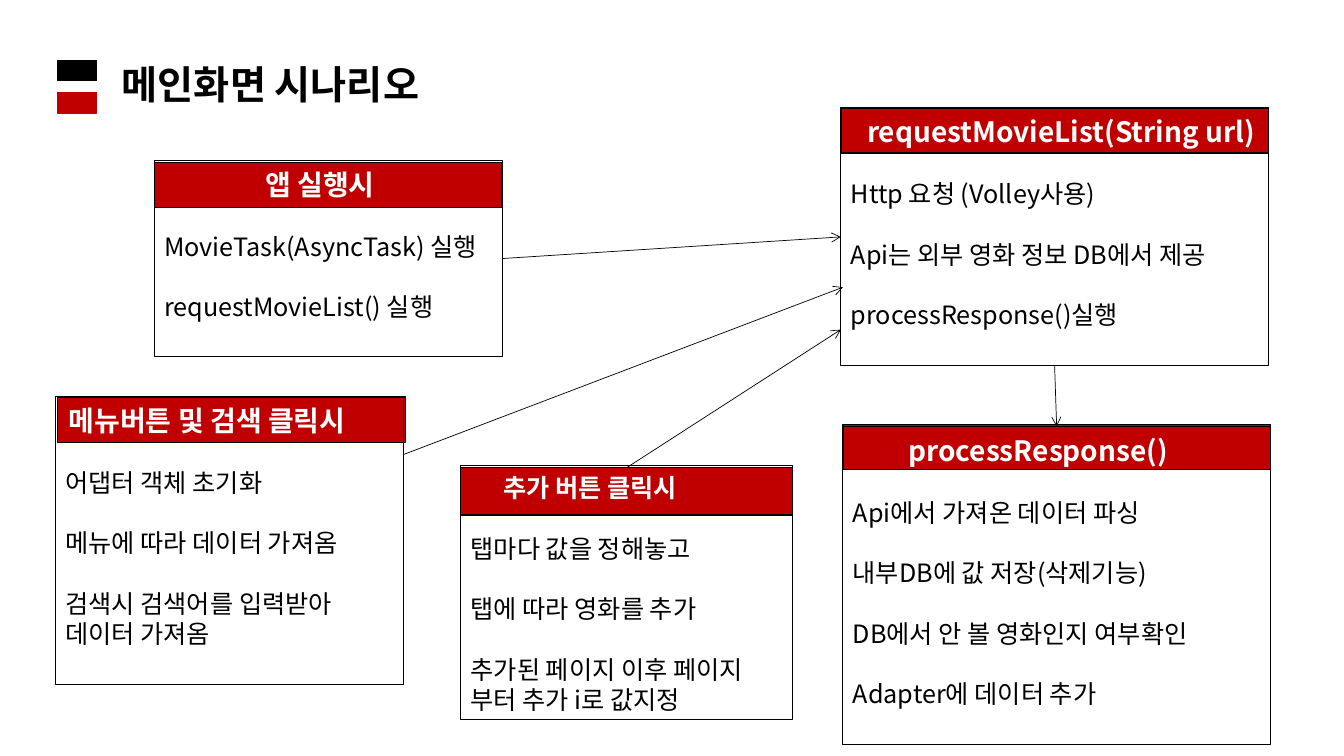
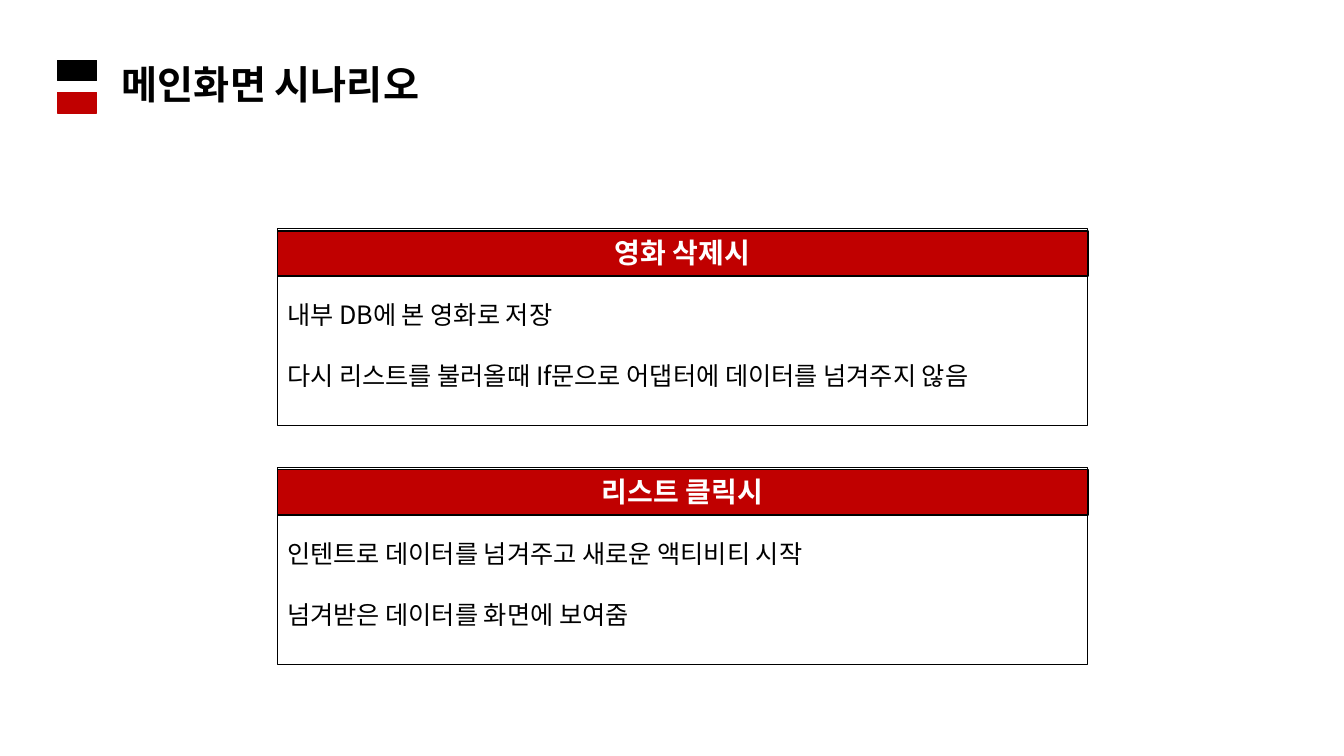
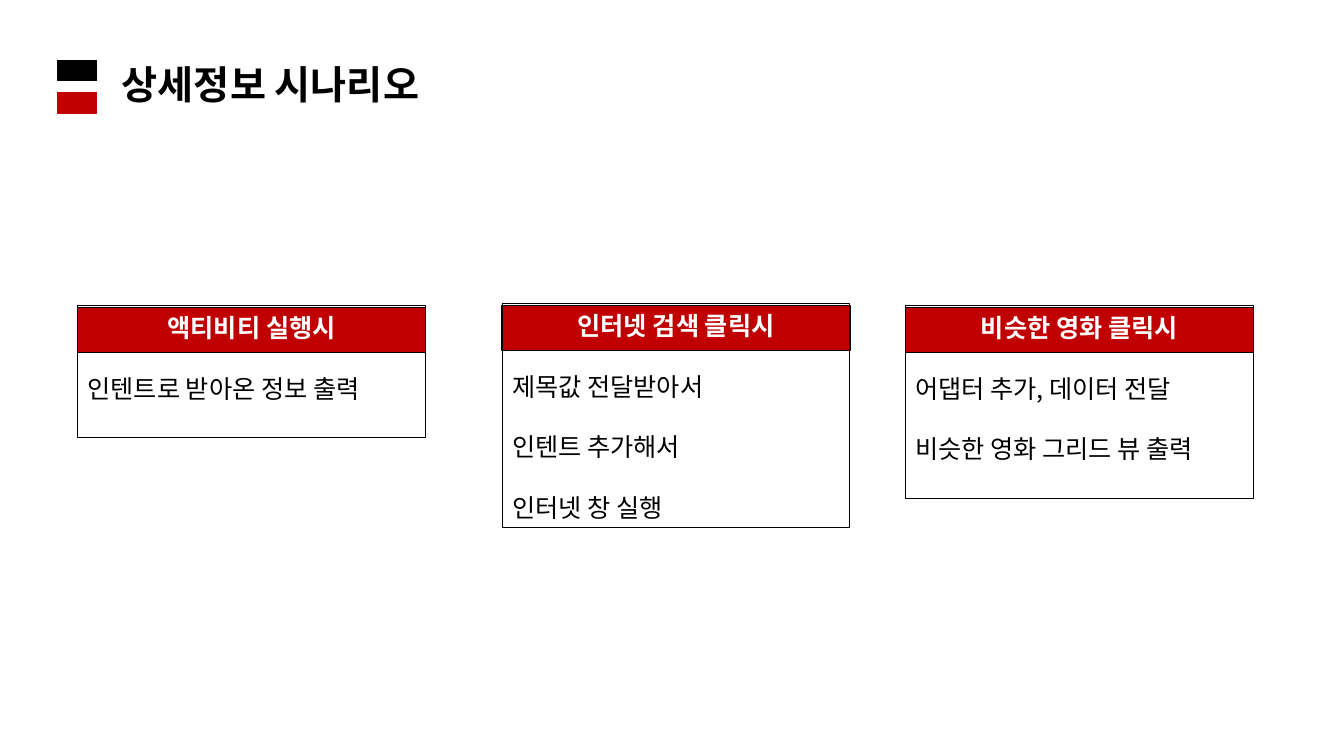
"""Build three slides of app scenarios shown as titled cards joined by arrows."""
from dataclasses import dataclass

from pptx import Presentation
from pptx.dml.color import RGBColor
from pptx.enum.shapes import MSO_CONNECTOR, MSO_SHAPE
from pptx.enum.text import MSO_ANCHOR, MSO_AUTO_SIZE, PP_ALIGN
from pptx.oxml.ns import qn
from pptx.util import Inches, Pt
from lxml.etree import SubElement

FONT = "Noto Sans CJK KR"
COLORS = {"red": "C00000", "black": "000000", "white": "FFFFFF"}
BODY_SIZE = 18
TITLE_SIZE = 28
LINE_RATIO = 1.2
BASELINE_SHIFT = 0.02
TOP, LEFT, BOTTOM, RIGHT = range(4)
TITLE_BOX = (1.11, 0.55, 8, 0.57)
MARKS = [("black", 0.6), ("red", 0.92)]


@dataclass
class Card:
    """A bordered box with a red heading bar; entries hold one or more lines."""
    heading: str
    frame: tuple
    entries: list
    heading_size: int = 20
    heading_indent: float = None
    bar_shift: tuple = (0, 0.02)
    bar_height: float = 0.45


SLIDES = [
    {
        "title": "메인화면 시나리오",
        "cards": {
            "launch": Card("앱 실행시", (1.53, 1.59, 3.45, 1.95), [
                ["MovieTask(AsyncTask) 실행"],
                ["requestMovieList() 실행"],
            ], heading_indent=1.1),
            "request": Card("requestMovieList(String url)", (8.34, 1.07, 4.24, 2.56), [
                ["Http 요청 (Volley사용)"],
                ["Api는 외부 영화 정보 DB에서 제공"],
                ["processResponse()실행"],
            ], heading_indent=0.26, bar_shift=(0, 0)),
            "response": Card("processResponse()", (8.36, 4.23, 4.24, 3.16), [
                ["Api에서 가져온 데이터 파싱"],
                ["내부DB에 값 저장(삭제기능)"],
                ["DB에서 안 볼 영화인지 여부확인"],
                ["Adapter에 데이터 추가"],
            ], heading_indent=0.65, bar_shift=(0, -0.02)),
            "menu": Card("메뉴버튼 및 검색 클릭시", (0.55, 3.93, 3.45, 2.86), [
                ["어댑터 객체 초기화"],
                ["메뉴에 따라 데이터 가져옴"],
                ["검색시 검색어를 입력받아", "데이터 가져옴"],
            ], heading_indent=0.13, bar_shift=(0.02, 0.01)),
            "more": Card("추가 버튼 클릭시", (4.57, 4.62, 3.29, 2.52), [
                ["탭마다 값을 정해놓고"],
                ["탭에 따라 영화를 추가"],
                ["추가된 페이지 이후 페이지", "부터 추가 i로 값지정"],
            ], heading_size=18, heading_indent=0.42, bar_height=0.47),
        },
        "arrows": [
            {"from": (4.98, 2.57), "to": (8.34, 2.35),
             "begin": ("launch", "frame", RIGHT), "end": ("request", "frame", LEFT)},
            {"from": (10.46, 3.63), "to": (10.48, 4.23),
             "begin": ("request", "frame", BOTTOM), "end": ("response", "frame", TOP)},
            {"from": (4, 4.51), "to": (8.36, 2.85)},
            {"from": (6.21, 4.64), "to": (8.34, 3.27), "begin": ("more", "bar", TOP)},
        ],
    },
    {
        "title": "메인화면 시나리오",
        "cards": {
            "delete": Card("영화 삭제시", (2.75, 2.27, 8.04, 1.95), [
                ["내부 DB에 본 영화로 저장"],
                ["다시 리스트를 불러올때 If문으로 어댑터에 데이터를 넘겨주지 않음"],
            ]),
            "list": Card("리스트 클릭시", (2.75, 4.64, 8.04, 1.95), [
                ["인텐트로 데이터를 넘겨주고 새로운 액티비티 시작"],
                ["넘겨받은 데이터를 화면에 보여줌"],
            ]),
        },
    },
    {
        "title": "상세정보 시나리오",
        "cards": {
            "activity": Card("액티비티 실행시", (0.77, 3.03, 3.45, 1.31), [
                ["인텐트로 받아온 정보 출력"],
            ], heading_size=18),
            "search": Card("인터넷 검색 클릭시", (4.98, 3.01, 3.45, 2.22), [
                ["제목값 전달받아서"],
                ["인텐트 추가해서"],
                ["인터넷 창 실행"],
            ], heading_size=18),
            "similar": Card("비슷한 영화 클릭시", (8.98, 3.03, 3.45, 1.92), [
                ["어댑터 추가, 데이터 전달"],
                ["비슷한 영화 그리드 뷰 출력"],
            ], heading_size=18),
        },
    },
]


def color(name):
    return RGBColor.from_string(COLORS[name])


def style_paragraph(paragraph, size, color_name, bold=False, align=PP_ALIGN.LEFT):
    paragraph.alignment = align
    paragraph.line_spacing = Pt(size * LINE_RATIO)
    for run in paragraph.runs:
        run.font.size = Pt(size)
        run.font.bold = bold
        run.font.color.rgb = color(color_name)
        run.font.name = FONT
        SubElement(run.font._element, qn("a:ea")).set("typeface", FONT)


def set_frame(text_frame, top, left=0.1, right=0.1, anchor=MSO_ANCHOR.TOP):
    text_frame.word_wrap = True
    text_frame.auto_size = MSO_AUTO_SIZE.NONE
    text_frame.vertical_anchor = anchor
    text_frame.margin_top, text_frame.margin_bottom = Inches(top), 0
    text_frame.margin_left, text_frame.margin_right = Inches(left), Inches(right)


def add_box(slide, box, fill, line="black", width=1):
    shape = slide.shapes.add_shape(MSO_SHAPE.RECTANGLE, *map(Inches, box))
    shape.shadow.inherit = False
    if fill:
        shape.fill.solid()
        shape.fill.fore_color.rgb = color(fill)
    else:
        shape.fill.background()
    shape.line.color.rgb = color(line)
    shape.line.width = Pt(width)
    return shape


def add_heading(slide, title):
    placeholder = slide.shapes.title
    placeholder.left, placeholder.top, placeholder.width, placeholder.height = map(Inches, TITLE_BOX)
    set_frame(placeholder.text_frame, 0, anchor=MSO_ANCHOR.MIDDLE)
    placeholder.text_frame.text = title
    style_paragraph(placeholder.text_frame.paragraphs[0], TITLE_SIZE, "black", bold=True)
    for name, top in MARKS:
        add_box(slide, (0.57, top, 0.39, 0.2), name, name)


def add_card(slide, card):
    left, top, width, height = card.frame
    shift_x, shift_y = card.bar_shift
    bar = add_box(slide, (left + shift_x, top + shift_y, width, card.bar_height), "red")
    centred = card.heading_indent is None
    indent = 0.1 if centred else card.heading_indent - shift_x
    set_frame(bar.text_frame, 0.05 + BASELINE_SHIFT - shift_y, indent, 0.1 if centred else 0)
    bar.text_frame.text = card.heading
    style_paragraph(bar.text_frame.paragraphs[0], card.heading_size, "white", True,
                    PP_ALIGN.CENTER if centred else PP_ALIGN.LEFT)

    frame = add_box(slide, card.frame, None, width=0.75)
    body_top = 0.05 + BASELINE_SHIFT + (card.heading_size + BODY_SIZE) * LINE_RATIO / 72
    set_frame(frame.text_frame, body_top)
    frame.text_frame.text = "\n".join(line for entry in card.entries for line in entry)
    paragraphs = iter(frame.text_frame.paragraphs)
    for entry_index, entry in enumerate(card.entries):
        for line_index in range(len(entry)):
            paragraph = next(paragraphs)
            style_paragraph(paragraph, BODY_SIZE, "black")
            if entry_index and not line_index:
                paragraph.space_before = Pt(BODY_SIZE * LINE_RATIO)
    return {"bar": bar, "frame": frame}


def add_arrow(slide, arrow, cards):
    connector = slide.shapes.add_connector(
        MSO_CONNECTOR.STRAIGHT, *map(Inches, arrow["from"] + arrow["to"]))
    for end, connect in (("begin", connector.begin_connect), ("end", connector.end_connect)):
        if end in arrow:
            name, part, site = arrow[end]
            connect(cards[name][part], site)
    connector.line.color.rgb = color("black")
    connector.line.width = Pt(0.5)
    SubElement(connector.line._get_or_add_ln(), qn("a:tailEnd")).set("type", "arrow")
    SubElement(connector._element.spPr, qn("a:effectLst"))


def main():
    presentation = Presentation()
    presentation.slide_width, presentation.slide_height = Inches(13.33), Inches(7.5)
    for content in SLIDES:
        slide = presentation.slides.add_slide(presentation.slide_layouts[5])
        add_heading(slide, content["title"])
        cards = {name: add_card(slide, card) for name, card in content["cards"].items()}
        for arrow in content.get("arrows", []):
            add_arrow(slide, arrow, cards)
    presentation.save("out.pptx")


if __name__ == "__main__":
    main()
